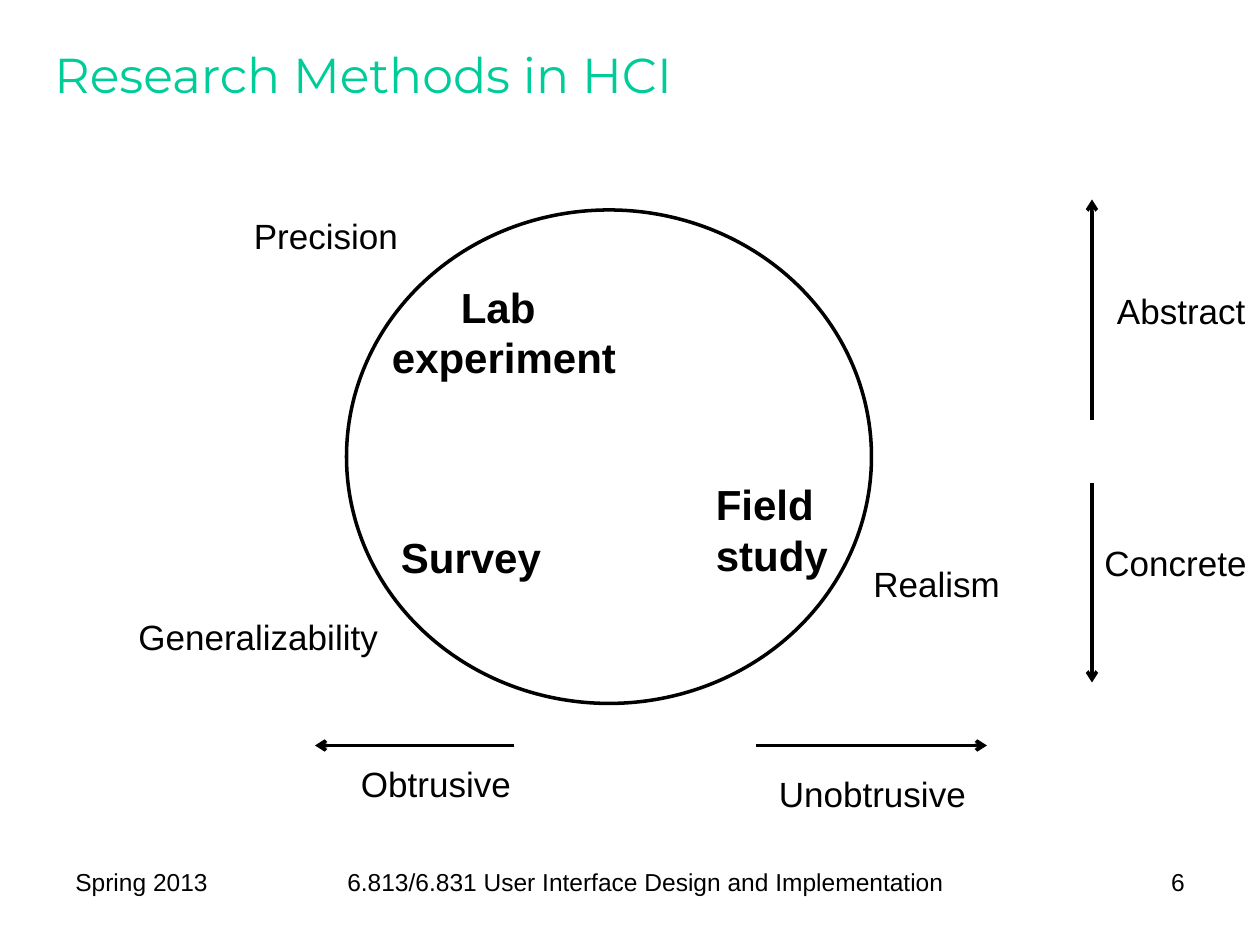
"""Build the slide that places HCI research methods on a circle of trade-offs."""
from lxml.etree import SubElement
from pptx import Presentation
from pptx.dml.color import RGBColor
from pptx.enum.shapes import MSO_CONNECTOR as LineKind, MSO_SHAPE as Outline
from pptx.enum.text import MSO_ANCHOR as Anchor, MSO_AUTO_SIZE as Fit, PP_ALIGN as Align
from pptx.oxml.ns import qn
from pptx.util import Inches, Pt

CELL = Inches(1 / 12)
BLACK, GREEN = "000000", "00CC99"


def color(hex_value):
    return RGBColor.from_string(hex_value)


def add_label(words, box, ink=BLACK, align=Align.LEFT, frame_format=None, **font_format):
    frame = slide.shapes.add_textbox(*(round(n * CELL) for n in box)).text_frame
    for key, value in (frame_format or {"word_wrap": True}).items():
        setattr(frame, key, value)
    paragraph = frame.paragraphs[0]
    paragraph.text = words
    paragraph.alignment = align
    for run in paragraph.runs:
        run.font.color.rgb = color(ink)
        for key, value in ({"name": "Arial"} | font_format).items():
            setattr(run.font, key, value)


deck = Presentation()
deck.slide_width, deck.slide_height = 120 * CELL, 90 * CELL
slide = deck.slides.add_slide(deck.slide_layouts[6])

add_label("Research Methods in HCI", (4, 2, 111, 10), GREEN, name="Montserrat", size=Pt(28),
          frame_format={"word_wrap": True, "vertical_anchor": Anchor.MIDDLE})

footer = [
    ("Spring 2013", 6, 18, Align.LEFT),
    ("6.813/6.831 User Interface Design and Implementation", 25, 73, Align.CENTER),
    ("6", 99, 15, Align.RIGHT),
]
for words, column, width, align in footer:
    add_label(words, (column, 82, width, 6.2), align=align, size=Pt(14))

hugging = {"word_wrap": False, "auto_size": Fit.SHAPE_TO_FIT_TEXT}
methods = [
    ("Lab \vexperiment", (36, 26.2, 24, 10.9), Align.CENTER),
    ("Survey", (37, 50, 16, 6.1), Align.LEFT),
    ("Field \vstudy", (67, 45, 13.2, 10.9), Align.LEFT),
]
for words, box, align in methods:
    add_label(words, box, align=align, frame_format=hugging, size=Pt(24), bold=True)

qualities = [
    ("Concrete", 104, 51, 16),
    ("Abstract", 105.2, 27, 14.8),
    ("Obtrusive", 33.2, 72, 16.8),
    ("Unobtrusive", 73, 73, 20.4),
    ("Generalizability", 12, 58, 25.4),
    ("Precision", 23, 19.8, 16.3),
    ("Realism", 82, 53, 14.6),
]
for words, column, row, width in qualities:
    add_label(words, (column, row, width, 5.3), frame_format=hugging, size=Pt(20))

directions = [
    (104, 40, 104, 19),
    (104, 46, 104, 65),
    (72, 71, 94, 71),
    (49, 71, 30, 71),
]
for ends in directions:
    arrow = slide.shapes.add_connector(LineKind.STRAIGHT, *(n * CELL for n in ends))
    arrow.line.color.rgb = color(BLACK)
    arrow.line.width = Pt(2)
    SubElement(arrow.line._get_or_add_ln(), qn("a:tailEnd"), type="arrow")
    SubElement(arrow._element.spPr, qn("a:effectLst"))

circle = slide.shapes.add_shape(Outline.OVAL, *(n * CELL for n in (33, 20, 50, 47)))
circle.shadow.inherit = False
circle.fill.background()
circle.line.color.rgb = color(BLACK)
circle.line.width = Pt(2)

deck.save("out.pptx")
